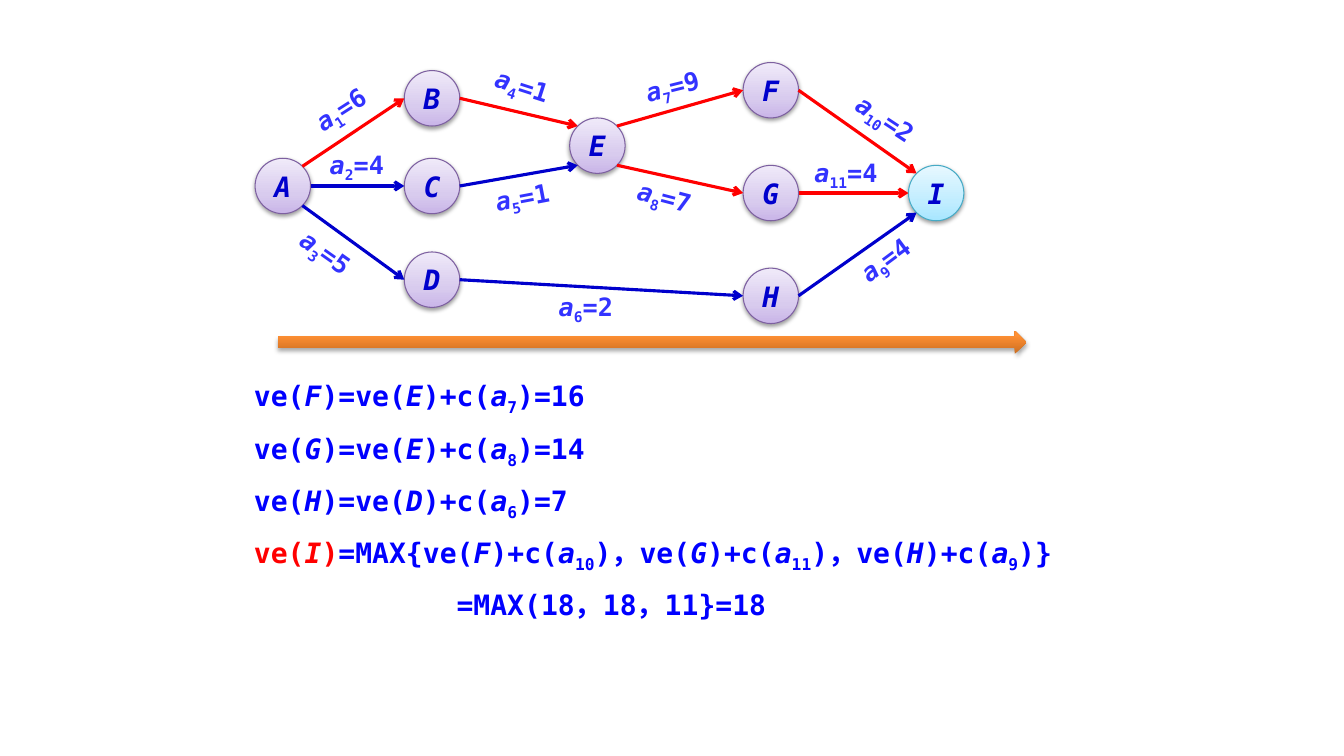
from math import cos, radians, sin
from lxml.etree import SubElement as Sub
from pptx import Presentation
from pptx.dml.color import RGBColor as Color
from pptx.enum.shapes import MSO_CONNECTOR as Link, MSO_SHAPE as Form
from pptx.enum.text import MSO_ANCHOR as Anchor, PP_ALIGN as Align
from pptx.oxml.ns import qn
from pptx.util import Inches, Pt

THEME = {
    "font": "DejaVu Sans Mono",
    "math": 20, "node": 20, "label": 18,
    "text": "0000FF", "name": "0000CC", "tag": "3333FF",
    "hot": "FF0000", "cool": "0000CC",
    "violet": [(0, "C9B5E8"), (35, "D8CBEE"), (100, "F0EAF9")],
    "aqua": [(0, "A7E6FF"), (35, "C1EDFF"), (100, "E7F8FF")],
    "orange": [(0, "CC6E20"), (80, "FF9034"), (100, "FF9136")],
    "rim": "7D60A0", "last": "46AAC5",
}

# Marks: | parts, * italic, _ subscript, ! red
MATH = [
    "ve(|*F|)=ve(|*E|)+c(|*a|_7|)=16",
    "ve(|*G|)=ve(|*E|)+c(|*a|_8|)=14",
    "ve(|*H|)=ve(|*D|)+c(|*a|_6|)=7",
    "!ve(|!*I|!)|=MAX{ve(|*F|)+c(|*a|_10|)，ve(|*G|)+c(|*a|_11|)，ve(|*H|)+c(|*a|_9|)}",
    "=MAX(18，18，11}=18",
]
STEP = 2.01

SIZE = 0.55
NODES = {
    "A": (2.53, 1.57), "B": (4.01, 0.7), "C": (4.01, 1.57),
    "D": (4.01, 2.5), "E": (5.65, 1.17), "F": (7.37, 0.62),
    "G": (7.37, 1.64), "H": (7.37, 2.66), "I": (9.01, 1.64),
}

EDGES = [
    ("A", -45, "B", 180, "hot", 6, (2.91, 0.93), -32.7),
    ("A", 0, "C", 180, "cool", 4, (3.07, 1.48), 0),
    ("A", 45, "D", 180, "cool", 5, (2.76, 2.35), 35.2),
    ("B", 0, "E", 225, "hot", 1, (4.71, 0.7), 17.8),
    ("C", 0, "E", 135, "cool", 1, (4.71, 1.8), -10.8),
    ("D", 0, "H", 180, "cool", 2, (5.34, 2.89), 0),
    ("E", -45, "F", 180, "hot", 9, (6.2, 0.7), -14),
    ("E", 45, "G", 180, "hot", 7, (6.12, 1.8), 14.7),
    ("H", 0, "I", 135, "cool", 4, (8.31, 2.42), -36.6),
    ("F", 0, "I", 225, "hot", 2, (8.31, 1.02), 33.4),
    ("G", 0, "I", 180, "hot", 4, (7.92, 1.56), 0),
]


def write(frame, lines, size, color, align=Align.CENTER, inset=None,
          wrap=True, gap=0, indent=0):
    frame.word_wrap = wrap
    if inset is not None:
        frame.margin_left = frame.margin_right = Inches(inset)
        frame.margin_top = frame.margin_bottom = Inches(inset)
    for row, line in enumerate(lines):
        para = frame.add_paragraph() if row else frame.paragraphs[0]
        para.alignment = align
        props = para._p.get_or_add_pPr()
        if row and gap:
            space = Sub(props, qn("a:spcBef"))
            Sub(space, qn("a:spcPct"), val=str(gap * 1000))
        if indent and row == len(lines) - 1:
            props.set("marL", str(Inches(indent)))
            props.set("indent", "0")
        for part in line.split("|"):
            word = part.lstrip("!*_")
            marks = part[:len(part) - len(word)]
            run = para.add_run()
            run.text = word
            font = run.font
            font.name, font.size, font.bold = THEME["font"], Pt(size), True
            font.italic = "*" in marks
            tint = THEME["hot"] if "!" in marks else color
            font.color.rgb = Color.from_string(tint)
            if "_" in marks:
                run._r.get_or_add_rPr().set("baseline", "-25000")


def paint(shape, stops, rim=None, alpha=38):
    shape.fill.gradient()
    shape.fill.gradient_angle = 90
    props = shape._element.spPr
    ramp = props.find(".//" + qn("a:gsLst"))
    for stop in list(ramp):
        ramp.remove(stop)
    for pos, tint in stops:
        stop = Sub(ramp, qn("a:gs"), pos=str(pos * 1000))
        Sub(stop, qn("a:srgbClr"), val=tint)
    if rim:
        shape.line.color.rgb = Color.from_string(rim)
        shape.line.width = Pt(0.75)
    else:
        shape.line.fill.background()
    shape.shadow.inherit = False
    cast = Sub(props.find(qn("a:effectLst")), qn("a:outerShdw"),
               blurRad=str(Pt(3.1)), dist=str(Pt(1.6)), dir="5400000",
               rotWithShape="0")
    tint = Sub(cast, qn("a:srgbClr"), val="000000")
    Sub(tint, qn("a:alpha"), val=str(alpha * 1000))


def rim_point(name, angle):
    left, top = NODES[name]
    half, turn = SIZE / 2, radians(angle)
    return (Inches(left + half + half * cos(turn)),
            Inches(top + half + half * sin(turn)))


def draw_node(shapes, name):
    left, top = NODES[name]
    node = shapes.add_shape(Form.OVAL, Inches(left), Inches(top),
                            Inches(SIZE), Inches(SIZE))
    end = name == "I"
    paint(node, THEME["aqua" if end else "violet"],
          THEME["last" if end else "rim"])
    frame = node.text_frame
    frame.vertical_anchor = Anchor.MIDDLE
    write(frame, ["*" + name], THEME["node"], THEME["name"],
          inset=0, wrap=False)


def draw_edge(shapes, tail, out, head, into, tone):
    edge = shapes.add_connector(Link.STRAIGHT, *rim_point(tail, out),
                                *rim_point(head, into))
    edge.line.color.rgb = Color.from_string(THEME[tone])
    edge.line.width = Pt(2.25)
    props = edge._element.spPr
    Sub(props.find(qn("a:ln")), qn("a:tailEnd"), type="arrow")
    Sub(props, qn("a:effectLst"))


def draw_label(shapes, index, cost, spot, turn):
    left, top = spot
    box = shapes.add_textbox(Inches(left), Inches(top),
                             Inches(0.94), Inches(0.31))
    box.rotation = turn
    write(box.text_frame, [f"*a|_{index}|={cost}"], THEME["label"],
          THEME["tag"], inset=0)


def main():
    deck = Presentation()
    deck.slide_width, deck.slide_height = Inches(13.33), Inches(7.5)
    slide = deck.slides.add_slide(deck.slide_layouts[6])
    box = slide.shapes.add_textbox(Inches(2.42), Inches(3.71),
                                   Inches(8.75), Inches(2.46))
    write(box.text_frame, MATH, THEME["math"], THEME["text"],
          align=Align.JUSTIFY, gap=50, indent=STEP)
    graph = slide.shapes.add_group_shape().shapes
    for name in NODES:
        draw_node(graph, name)
    for index, (*ends, cost, spot, turn) in enumerate(EDGES, 1):
        draw_edge(graph, *ends)
    order = [1, 2, 3, 4, 5, 6, 7, 8, 9, 10, 11]
    for index, (*ends, cost, spot, turn) in zip(order, EDGES):
        draw_label(graph, index, cost, spot, turn)
    arrow = slide.shapes.add_shape(Form.RIGHT_ARROW, Inches(2.76),
                                   Inches(3.28), Inches(7.42), Inches(0.23))
    paint(arrow, THEME["orange"], alpha=35)
    deck.save("out.pptx")


if __name__ == "__main__":
    main()
